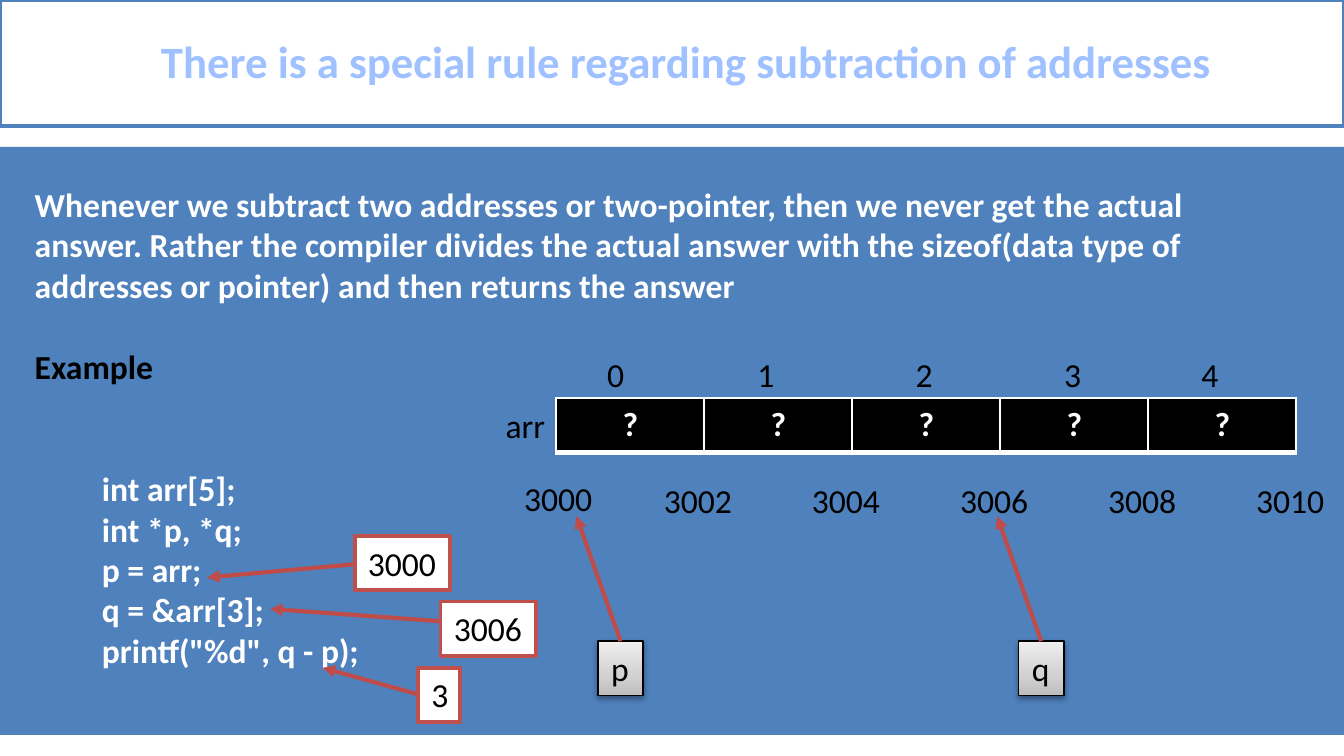
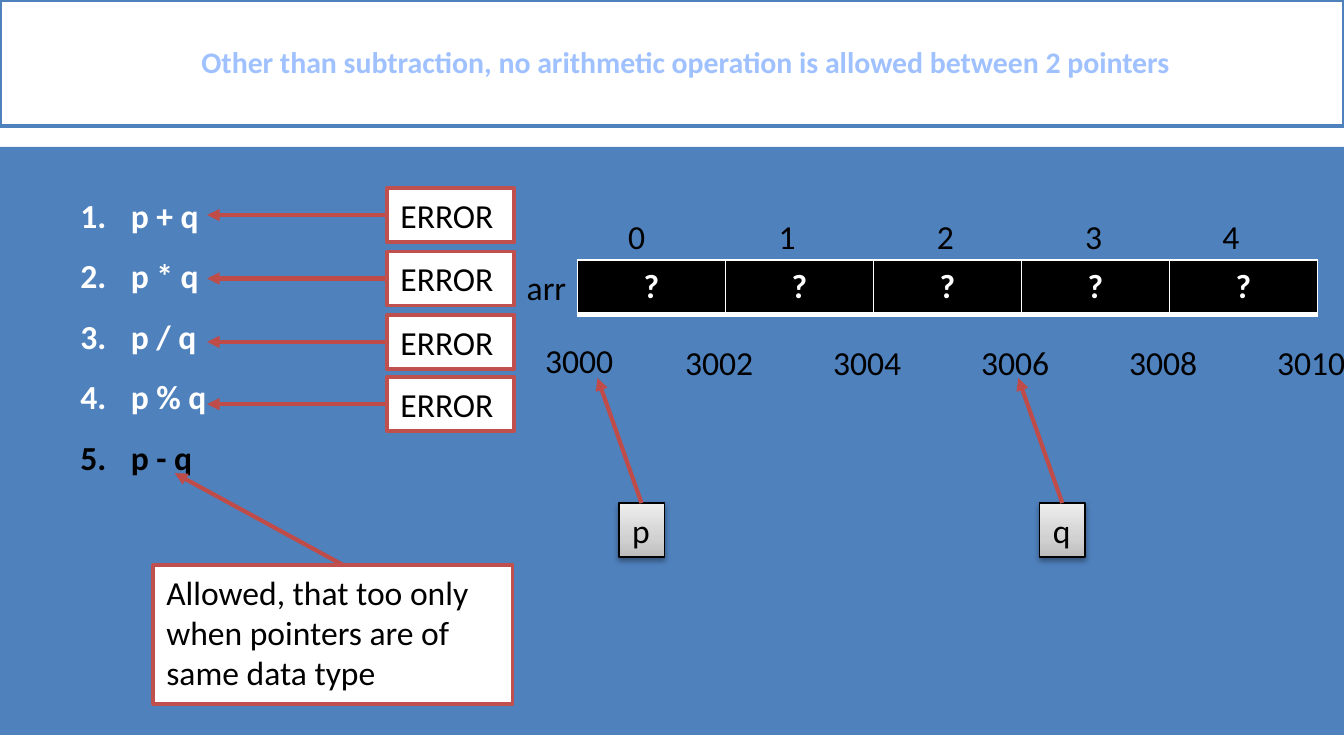
from pptx import Presentation
from pptx.dml.color import RGBColor
from pptx.enum import shapes, text
from pptx.oxml import parse_xml
from pptx.oxml.ns import qn
from pptx.util import Pt
from lxml import etree

WHITE = RGBColor(0xFF, 0xFF, 0xFF)
BLACK = RGBColor(0, 0, 0)
BLUE = RGBColor(0x4F, 0x81, 0xBD)
EDGE = RGBColor(0x46, 0x7A, 0xB8)
RED = RGBColor(0xC0, 0x50, 0x4D)
ARROW = RGBColor(0xBF, 0x4C, 0x48)
SILVER = [(0, "BDBDBD"), (35, "D1D1D1"), (100, "EEEEEE")]
SHEEN = [(0, "BFD3F9"), (9, "A0C1FF"), (50, "003D85"), (79, "A0C1FF"), (100, "BFD3F9")]
FONT = "Calibri"
NS = 'xmlns:a="http://schemas.openxmlformats.org/drawingml/2006/main"'
COL, ROW = 79.3, 29.2

# Content: titles with size, body paragraphs with their format, callouts, array origin
PAGES = [
    dict(
        title=("There is a special rule regarding subtraction of addresses", 24),
        body=[
            ("Whenever we subtract two addresses or two-pointer, then we never get the actual", {}),
            ("answer. Rather the compiler divides the actual answer with the sizeof(data type of", {}),
            ("addresses or pointer) and then returns the answer", {}),
            ("Example", dict(color=BLACK, before=22)),
            ("int arr[5];", dict(left=36, before=44)),
            ("int *p, *q;", dict(left=36)),
            ("p = arr;", dict(left=36)),
            ("q = &arr[3];", dict(left=36)),
            ('printf("%d", q - p);', dict(left=36)),
        ],
        place=(11.5, 95, 683, 310),
        fmt={},
        notes=[  # text, box, arrow start, arrow end
            (["3000"], (190, 287.3, 51, 29), (190, 302.3), (111, 309.4)),
            (["3006"], (236, 322.3, 51, 29), (235.5, 332.8), (144.7, 326.2)),
            (["3"], (224, 357.7, 22.5, 29), (224, 372), (172.8, 357.8)),
        ],
        array=(298, 213.2),
    ),
    dict(
        title=("Other than subtraction, no arithmetic operation is allowed between 2 pointers", 16),
        body=["p + q", "p * q", "p / q", "p % q", ("p - q", dict(color=BLACK))],
        place=(0, 90, 720, 168),
        fmt=dict(left=63, hang=-27, lines=1.5, number=True),
        notes=[
            (["ERROR"], (207.4, y, 68, 29), (207.4, y + 14.5), (111, y + 14.5))
            for y in (100.7, 134.7, 168.7, 202)
        ] + [
            (["Allowed, that too only when pointers are of", "same data type"],
             (82, 302.6, 192.6, 74.4), (183.6, 302.6), (93.6, 253.5)),
        ],
        array=(309.3, 139.2),
    ),
]
INDEX = [("0", 20.2), ("1", 100.7), ("2", 185.5), ("3", 265), ("4", 338.5)]
CELLS = ["?"] * 5
FIRST = "3000"
REST = ["3002", "3004", "3006", "3008", "3010"]
POINT = [("p", 22.3), ("q", 247.7)]


def grad(stops, angle):
    marks = "".join(
        f'<a:gs pos="{p * 1000}"><a:srgbClr val="{c}"/></a:gs>' for p, c in stops)
    return parse_xml(f'<a:gradFill {NS} rotWithShape="1"><a:gsLst>{marks}</a:gsLst>'
                     f'<a:lin ang="{angle * 60000}" scaled="0"/></a:gradFill>')


def line(tag, color, width):
    return parse_xml(f'<a:{tag} {NS} w="{Pt(width)}"><a:solidFill>'
                     f'<a:srgbClr val="{color}"/></a:solidFill></a:{tag}>')


def write(frame, paras, size=18, color=BLACK, bold=False, align=text.PP_ALIGN.LEFT,
          wrap=True, **rest):
    """Fill a frame; each paragraph is text or (text, format changes)."""
    frame.word_wrap = wrap
    for i, item in enumerate(paras):
        words, own = (item, {}) if isinstance(item, str) else item
        look = {"color": color, **rest, **own}
        para = frame.paragraphs[0] if i == 0 else frame.add_paragraph()
        props = para._p.get_or_add_pPr()
        props.set("marL", str(Pt(look.get("left", 0))))
        props.set("indent", str(Pt(look.get("hang", 0))))
        para.alignment = align
        if "lines" in look:
            para.line_spacing = look["lines"]
        if "before" in look:
            para.space_before = Pt(look["before"])
        if look.get("number"):
            etree.SubElement(props, qn("a:buAutoNum")).set("type", "arabicPeriod")
        run = para.add_run()
        run.text = words
        font = run.font
        font.name, font.size, font.bold = FONT, Pt(size), bold
        font.color.rgb = look["color"]


def label(page, paras, box, **fmt):
    item = page.shapes.add_textbox(*map(Pt, box))
    write(item.text_frame, paras, **fmt)


def block(page, box, fill, edge=None, width=2):
    item = page.shapes.add_shape(shapes.MSO_SHAPE.RECTANGLE, *map(Pt, box))
    item.shadow.inherit = False
    item.fill.solid()
    item.fill.fore_color.rgb = fill
    if edge is None:
        item.line.fill.background()
    else:
        item.line.color.rgb = edge
        item.line.width = Pt(width)
    item.text_frame.vertical_anchor = text.MSO_ANCHOR.TOP
    return item


def arrow(page, start, end):
    item = page.shapes.add_connector(
        shapes.MSO_CONNECTOR.STRAIGHT, *map(Pt, start + end))
    item.line.color.rgb = ARROW
    item.line.width = Pt(2.25)
    etree.SubElement(item.line._get_or_add_ln(), qn("a:tailEnd")).set("type", "triangle")
    etree.SubElement(item._element.spPr, qn("a:effectLst"))


def head(page, words, size):
    block(page, (0, 78.7, 720, 315), BLUE)
    bar = block(page, (0, 0, 720, 67.5), WHITE, BLUE)
    frame = bar.text_frame
    frame.vertical_anchor = text.MSO_ANCHOR.MIDDLE
    write(frame, [words], size=size, bold=True, align=text.PP_ALIGN.CENTER,
          left=15, lines=0.96)
    props = frame.paragraphs[0].runs[0]._r.rPr
    props.replace(props.find(qn("a:solidFill")), grad(SHEEN, 90))
    props.insert(0, line("ln", EDGE, 0.83))


def pointer(page, name, x, y):
    box = block(page, (x, y, 24.3, 29), WHITE, BLACK, 0.75)
    props = box._element.spPr
    props.replace(props.find(qn("a:solidFill")), grad(SILVER, 270))
    props.find(qn("a:effectLst")).append(parse_xml(
        f'<a:outerShdw {NS} blurRad="{Pt(3.1)}" dist="{Pt(1.6)}" dir="5400000" '
        'rotWithShape="0"><a:srgbClr val="000000"><a:alpha val="38000"/>'
        '</a:srgbClr></a:outerShdw>'))
    write(box.text_frame, [name], wrap=False)
    arrow(page, (x + 12.1, y), (x - 11.5, y - 67))


def array(page, x, y):
    # Cells
    grid = page.shapes.add_table(
        1, len(CELLS), Pt(x), Pt(y), Pt(COL * len(CELLS)), Pt(ROW)).table
    grid.first_row = grid.horz_banding = False
    grid.rows[0].height = Pt(ROW)
    for i, mark in enumerate(CELLS):
        grid.columns[i].width = Pt(COL)
        cell = grid.cell(0, i)
        cell.fill.solid()
        cell.fill.fore_color.rgb = BLACK
        write(cell.text_frame, [mark], color=WHITE, bold=True, align=text.PP_ALIGN.CENTER)
        props = cell._tc.get_or_add_tcPr()
        for n, (tag, width) in enumerate([("lnL", 1), ("lnR", 1), ("lnT", 1), ("lnB", 3)]):
            props.insert(n, line(tag, WHITE, width))
    # Name, indexes and addresses
    tags = [("arr", -34.2, 0.3, 36), (FIRST, -24.3, 39.3, 51)]
    tags += [(t, dx, -27.3, 23.7) for t, dx in INDEX]
    tags += [(t, 50.6 + i * COL, 40.5, 51) for i, t in enumerate(REST)]
    for words, dx, dy, wide in tags:
        label(page, [words], (x + dx, y + dy, wide, 29), wrap=False)
    # Pointers
    for name, dx in POINT:
        pointer(page, name, x + dx, y + 130.3)


def main():
    deck = Presentation()
    deck.slide_width, deck.slide_height = Pt(720), Pt(405)
    for data in PAGES:
        page = deck.slides.add_slide(deck.slide_layouts[6])
        head(page, *data["title"])
        label(page, data["body"], data["place"], color=WHITE, bold=True, **data["fmt"])
        array(page, *data["array"])
        for words, box, start, end in data["notes"]:
            arrow(page, start, end)
            write(block(page, box, WHITE, RED).text_frame, words)
    deck.save("out.pptx")


if __name__ == "__main__":
    main()
